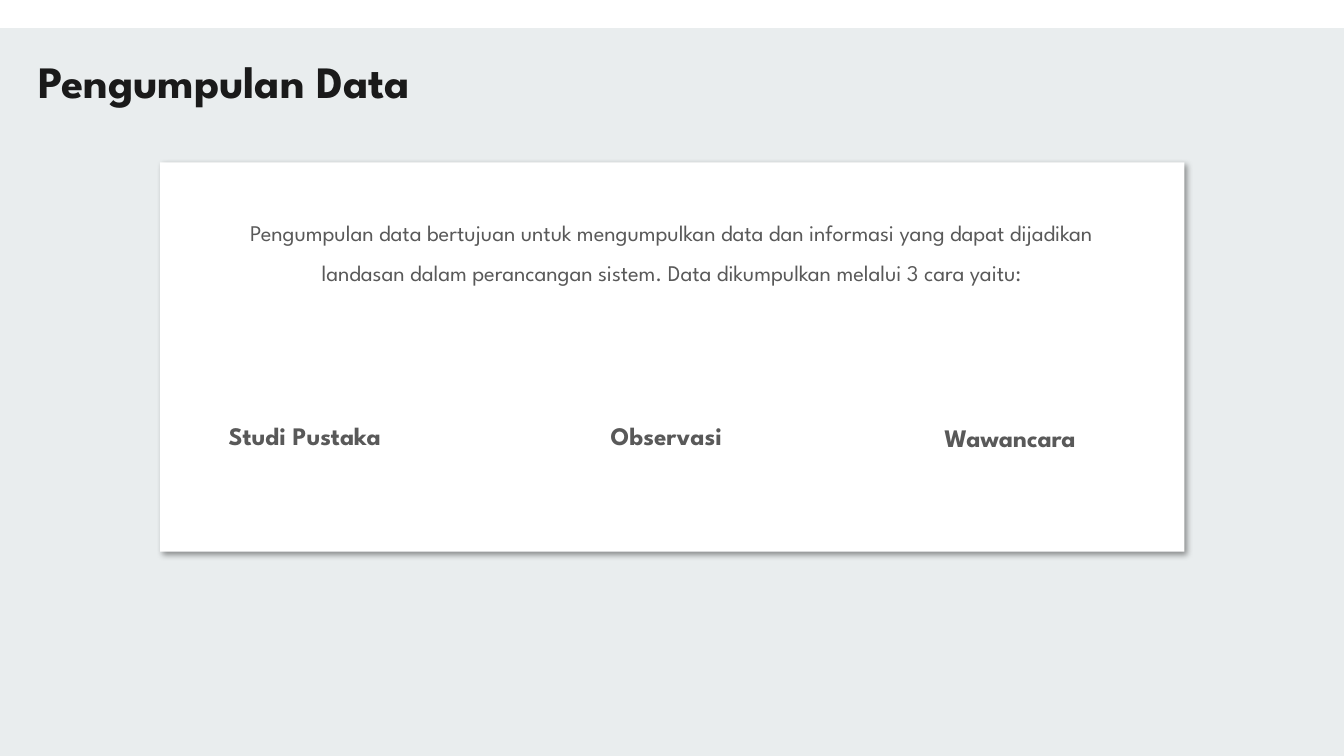
from lxml.etree import SubElement
from pptx import Presentation
from pptx.dml.color import RGBColor
from pptx.enum.shapes import MSO_SHAPE
from pptx.enum.text import MSO_AUTO_SIZE, PP_ALIGN
from pptx.oxml.ns import qn
from pptx.util import Pt

WIDTH, HEIGHT = 960, 540
COLORS = {
    "background": "E9EDEE",
    "panel": "FFFFFF",
    "title": "1A1A1A",
    "body": "595959",
    "shadow": "000000",
}


class SlideBuilder:
    font_name = "League Spartan"

    def __init__(self, slide):
        self.slide = slide

    def color(self, role):
        return RGBColor.from_string(COLORS[role])

    def background(self, role):
        fill = self.slide.background.fill
        fill.solid()
        fill.fore_color.rgb = self.color(role)

    def panel(self, left, top, width, height):
        panel = self.slide.shapes.add_shape(
            MSO_SHAPE.RECTANGLE, Pt(left), Pt(top), Pt(width), Pt(height))
        panel.shadow.inherit = False
        panel.fill.solid()
        panel.fill.fore_color.rgb = self.color("panel")
        panel.line.fill.background()
        return panel

    def cast_shadow(self, panel):
        """Add a soft shadow towards the lower right."""
        effects = panel._element.spPr.find(qn("a:effectLst"))
        shadow = SubElement(
            effects, qn("a:outerShdw"), blurRad=str(Pt(4)), dist=str(Pt(3)),
            dir="2700000", algn="tl", rotWithShape="0")
        tint = SubElement(shadow, qn("a:srgbClr"), val=COLORS["shadow"])
        SubElement(tint, qn("a:alpha"), val="40000")

    def text(self, wording, left, top, width, height, size, role="body",
             bold=True, wrap=False, align=PP_ALIGN.LEFT, line_spacing=None):
        box = self.slide.shapes.add_textbox(
            Pt(left), Pt(top), Pt(width), Pt(height))
        frame = box.text_frame
        frame.word_wrap = wrap
        frame.auto_size = MSO_AUTO_SIZE.SHAPE_TO_FIT_TEXT
        paragraph = frame.paragraphs[0]
        paragraph.alignment = align
        paragraph.line_spacing = line_spacing
        run = paragraph.add_run()
        run.text = wording
        run.font.name = self.font_name
        run.font.size = Pt(size)
        run.font.bold = bold
        run.font.color.rgb = self.color(role)


def main():
    presentation = Presentation()
    presentation.slide_width = Pt(WIDTH)
    presentation.slide_height = Pt(HEIGHT)
    builder = SlideBuilder(
        presentation.slides.add_slide(presentation.slide_layouts[6]))

    builder.background("background")
    builder.text("Pengumpulan Data", 20.2, 34.6, 317.5, 46, 32, role="title")
    content_card = builder.panel(114.5, 116, 731.5, 278)
    builder.cast_shadow(content_card)
    builder.panel(0, 0, WIDTH, 20)

    builder.text(
        "Pengumpulan data bertujuan untuk mengumpulkan data dan informasi "
        "yang dapat dijadikan landasan dalam perancangan sistem. "
        "Data dikumpulkan melalui 3 cara yaitu:",
        156.2, 143.3, 647.3, 90.7, 16, bold=False, wrap=True,
        align=PP_ALIGN.CENTER, line_spacing=1.5)

    methods = [
        ("Studi Pustaka", 156.2, 296.6, 136),
        ("Observasi", 429.1, 296.6, 101.5),
        ("Wawancara", 667.4, 298.1, 121.7),
    ]
    for method, left, top, width in methods:
        builder.text(method, left, top, width, 28.8, 18)

    presentation.save("out.pptx")


if __name__ == "__main__":
    main()
